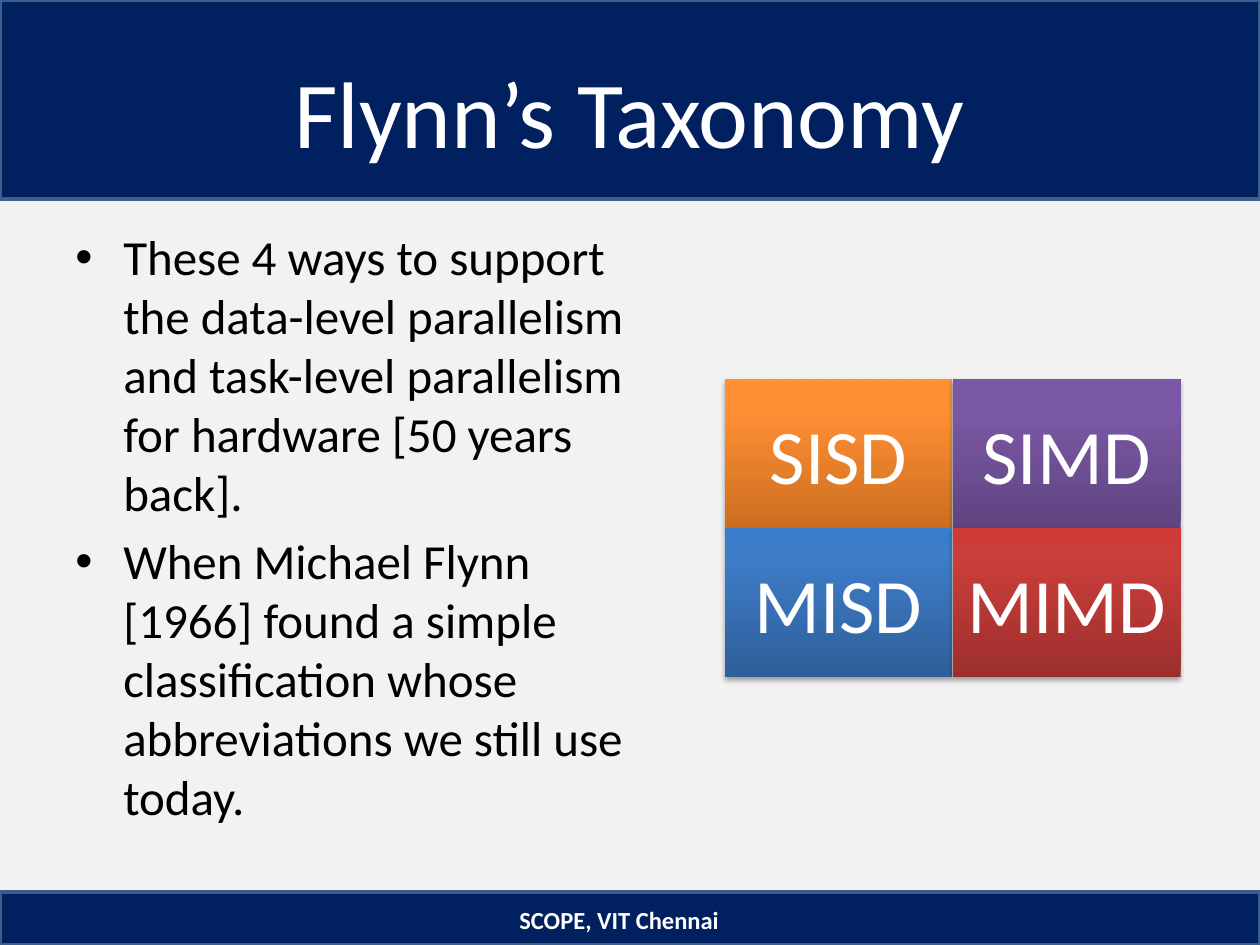
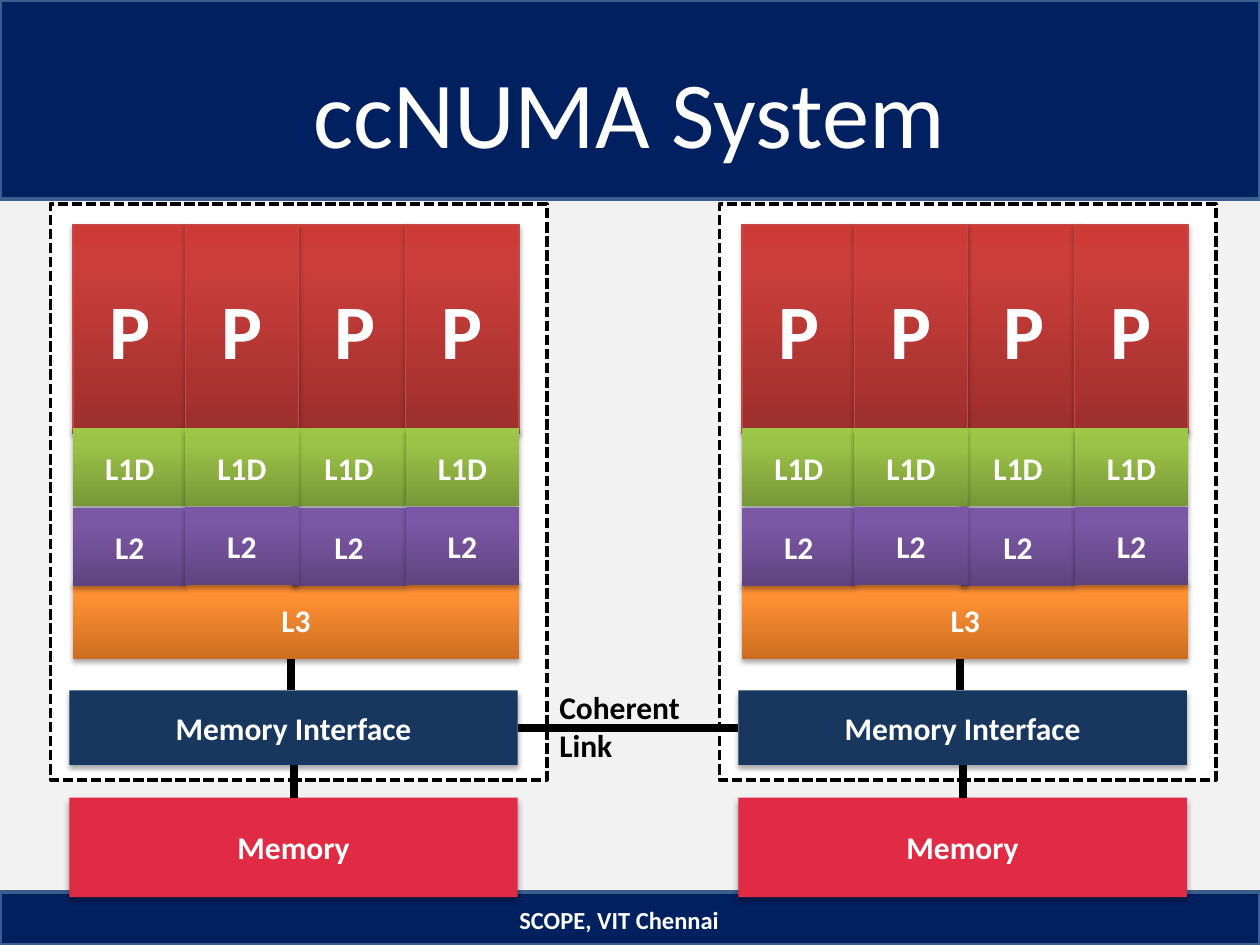
from typing import NamedTuple, Optional

from lxml import etree
from copy import deepcopy
from pptx import Presentation
from pptx.dml.color import RGBColor
from pptx.enum.dml import MSO_LINE
from pptx.enum.shapes import MSO_CONNECTOR, MSO_SHAPE
from pptx.enum.text import MSO_ANCHOR, PP_ALIGN
from pptx.oxml.ns import qn
from pptx.util import Inches, Pt

RECTANGLE = MSO_SHAPE.RECTANGLE
STRAIGHT = MSO_CONNECTOR.STRAIGHT
DASHED = MSO_LINE.SQUARE_DOT
TOP, MIDDLE = MSO_ANCHOR.TOP, MSO_ANCHOR.MIDDLE
LEFT, CENTER = PP_ALIGN.LEFT, PP_ALIGN.CENTER
SIDE_TOP, SIDE_LEFT, SIDE_BOTTOM, SIDE_RIGHT = range(4)

FONT = "Calibri"
BLACK = RGBColor(0x00, 0x00, 0x00)
WHITE = RGBColor(0xFF, 0xFF, 0xFF)
PAPER = RGBColor(0xF2, 0xF2, 0xF2)
NAVY = RGBColor(0x00, 0x20, 0x60)
BAND_EDGE = RGBColor(0x3A, 0x5F, 0x8C)
PROCESSOR_EDGE = RGBColor(0xBF, 0x4C, 0x48)
INTERFACE_BLUE = RGBColor(0x17, 0x37, 0x5E)
MEMORY_RED = RGBColor(0xE1, 0x2B, 0x45)

# Gradients run from the bottom edge to the top edge
GRADIENT_POSITIONS = (0, 0.8, 1)
ORANGE = (RGBColor(0xCC, 0x6E, 0x20), RGBColor(0xFF, 0x90, 0x34), RGBColor(0xFF, 0x91, 0x36))
PURPLE = (RGBColor(0x5F, 0x44, 0x80), RGBColor(0x7B, 0x58, 0xA6), RGBColor(0x7C, 0x57, 0xA8))
BLUE = (RGBColor(0x2F, 0x5F, 0x99), RGBColor(0x3D, 0x7C, 0xC7), RGBColor(0x3A, 0x7C, 0xCB))
RED = (RGBColor(0x9C, 0x2F, 0x2D), RGBColor(0xCB, 0x3E, 0x3A), RGBColor(0xCE, 0x3B, 0x37))
GREEN = (RGBColor(0x77, 0x97, 0x37), RGBColor(0x9B, 0xC3, 0x48), RGBColor(0x9D, 0xC7, 0x46))


class Box(NamedTuple):
    """A rectangle in inches."""
    left: float
    top: float
    width: float
    height: float

    def lengths(self) -> list:
        return [Inches(value) for value in self]


class Block(NamedTuple):
    """Look of a labelled diagram block."""
    text: str
    fill: object
    size: int = 18
    bold: bool = True
    edge: Optional[RGBColor] = None


PROCESSOR = Block("P", RED, size=44, edge=PROCESSOR_EDGE)
LEVEL_1 = Block("L1D", GREEN)
LEVEL_2 = Block("L2", PURPLE)
LEVEL_3 = Block("L3", ORANGE)
INTERFACE = Block("Memory Interface", INTERFACE_BLUE)
MEMORY = Block("Memory", MEMORY_RED)

TAXONOMY = (("SISD", ORANGE), ("SIMD", PURPLE), ("MISD", BLUE), ("MIMD", RED))
PROCESSOR_LEFTS = (0.58, 1.47, 2.37, 3.22)
CACHE_LEFTS = (0.58, 1.47, 2.32, 3.22)
DRAW_ORDER = (0, 2, 1, 3)  # odd columns overlap the even ones
NODE_PITCH = 5.31


def write(frame, text: str, *, size: int, color: RGBColor = WHITE, bold: bool = False,
          align=CENTER, anchor=MIDDLE, bullet: bool = False) -> None:
    """Write one paragraph per line of text."""
    frame.word_wrap = True
    frame.vertical_anchor = anchor
    for index, line in enumerate(text.split("\n")):
        paragraph = frame.paragraphs[0] if index == 0 else frame.add_paragraph()
        paragraph.alignment = align
        if bullet:
            properties = paragraph._p.get_or_add_pPr()
            properties.set("marL", str(Inches(0.38)))
            properties.set("indent", str(-Inches(0.38)))
            etree.SubElement(properties, qn("a:buFont")).set("typeface", "Arial")
            etree.SubElement(properties, qn("a:buChar")).set("char", "•")
            if index:
                paragraph.space_before = Pt(0.2 * size)
        run = paragraph.add_run()
        run.text = line
        run.font.name = FONT
        run.font.size = Pt(size)
        run.font.bold = bold
        run.font.color.rgb = color


def add_text(slide, box: Box, text: str, **text_format) -> None:
    write(slide.shapes.add_textbox(*box.lengths()).text_frame, text, **text_format)


def fill_gradient(shape, colors: tuple) -> None:
    shape.fill.gradient()
    stop_list = shape._element.spPr.find(qn("a:gradFill")).find(qn("a:gsLst"))
    stop_list.append(deepcopy(stop_list[0]))
    for stop, color, position in zip(shape.fill.gradient_stops, colors, GRADIENT_POSITIONS):
        stop.color.rgb = color
        stop.position = position
    shape.fill.gradient_angle = 90


def add_shadow(shape) -> None:
    effects = shape._element.spPr.find(qn("a:effectLst"))
    shadow = etree.SubElement(effects, qn("a:outerShdw"), blurRad=str(Pt(3.1)),
                              dist=str(Pt(1.8)), dir="5400000", rotWithShape="0")
    color = etree.SubElement(shadow, qn("a:srgbClr"), val=str(BLACK))
    etree.SubElement(color, qn("a:alpha"), val="35000")


def add_rectangle(shapes, box: Box, fill, edge: Optional[RGBColor] = None, edge_width: float = 2):
    shape = shapes.add_shape(RECTANGLE, *box.lengths())
    shape.shadow.inherit = False
    if isinstance(fill, RGBColor):
        shape.fill.solid()
        shape.fill.fore_color.rgb = fill
    else:
        fill_gradient(shape, fill)
    if edge is None:
        shape.line.fill.background()
    else:
        shape.line.color.rgb = edge
        shape.line.width = Pt(edge_width)
    return shape


def add_block(shapes, block: Block, box: Box):
    shape = add_rectangle(shapes, box, block.fill, block.edge, 0.75)
    add_shadow(shape)
    write(shape.text_frame, block.text, size=block.size, bold=block.bold)
    return shape


def add_link(slide, start: tuple = (0, 0), end: tuple = (0, 0)):
    points = [Inches(value) for value in (*start, *end)]
    connector = slide.shapes.add_connector(STRAIGHT, *points)
    connector.line.color.rgb = BLACK
    connector.line.width = Pt(4.5)
    etree.SubElement(connector._element.spPr, qn("a:effectLst"))
    return connector


def join(slide, first, first_side: int, second, second_side: int) -> None:
    connector = add_link(slide)
    connector.begin_connect(first, first_side)
    connector.end_connect(second, second_side)


def add_slide(presentation, title: str):
    """Add a slide with the shared background, bands, title and footer."""
    slide = presentation.slides.add_slide(presentation.slide_layouts[6])
    slide.background.fill.solid()
    slide.background.fill.fore_color.rgb = PAPER
    for band in (Box(0, 0, 10, 1.58), Box(0, 7.08, 10, 0.42)):
        add_rectangle(slide.shapes, band, NAVY, BAND_EDGE)
    add_text(slide, Box(0.33, 0.25, 9.33, 1.25), title, size=54)
    add_text(slide, Box(2.75, 7.1, 4.33, 0.4), "SCOPE, VIT Chennai", size=14, bold=True)
    return slide


def build_taxonomy(presentation) -> None:
    slide = add_slide(presentation, "Flynn’s Taxonomy")
    add_text(
        slide, Box(0.5, 1.75, 4.75, 5.25),
        "These 4 ways to support the data-level parallelism and task-level parallelism "
        "for hardware [50 years back].\n"
        "When Michael Flynn [1966] found a simple classification whose abbreviations "
        "we still use today.",
        size=28, color=BLACK, align=LEFT, anchor=TOP, bullet=True)

    # Two by two grid of architecture classes
    width, height = 1.81, 1.18
    grid = slide.shapes.add_group_shape().shapes
    for index, (name, colors) in enumerate(TAXONOMY):
        row, column = divmod(index, 2)
        box = Box(5.75 + column * width, 3.01 + row * height, width, height)
        add_block(grid, Block(name, colors, size=44, bold=False), box)


def add_node(slide, offset: float):
    """Draw one multicore node and return its memory interface."""
    shapes = slide.shapes
    frame = add_rectangle(shapes, Box(0.4 + offset, 1.62, 3.94, 4.57), WHITE, BLACK)
    frame.line.dash_style = DASHED

    # Cores and their caches
    for column in DRAW_ORDER:
        add_block(shapes, PROCESSOR, Box(PROCESSOR_LEFTS[column] + offset, 1.78, 0.9, 1.66))
    for column in DRAW_ORDER:
        add_block(shapes, LEVEL_1, Box(CACHE_LEFTS[column] + offset, 3.4, 0.9, 0.62))
    add_block(shapes, LEVEL_3, Box(0.58 + offset, 4.61, 3.54, 0.62))
    for column in DRAW_ORDER:
        top = 4.02 if column % 2 else 4.03
        add_block(shapes, LEVEL_2, Box(CACHE_LEFTS[column] + offset, top, 0.9, 0.62))

    # Memory below the caches
    interface = add_block(shapes, INTERFACE, Box(0.55 + offset, 5.48, 3.56, 0.59))
    memory = add_block(shapes, MEMORY, Box(0.55 + offset, 6.33, 3.56, 0.79))
    join(slide, interface, SIDE_BOTTOM, memory, SIDE_TOP)
    add_link(slide, (2.31 + offset, 5.23), (2.31 + offset, 5.48))
    return interface


def build_ccnuma(presentation) -> None:
    slide = add_slide(presentation, "ccNUMA System")
    left_interface, right_interface = [add_node(slide, offset) for offset in (0, NODE_PITCH)]
    join(slide, left_interface, SIDE_RIGHT, right_interface, SIDE_LEFT)
    add_text(slide, Box(4.34, 5.41, 1.58, 0.71), "Coherent\nLink",
             size=18, color=BLACK, bold=True, align=LEFT, anchor=TOP)


def main() -> None:
    presentation = Presentation()
    presentation.slide_width = Inches(10)
    presentation.slide_height = Inches(7.5)
    build_taxonomy(presentation)
    build_ccnuma(presentation)
    presentation.save("out.pptx")


if __name__ == "__main__":
    main()
